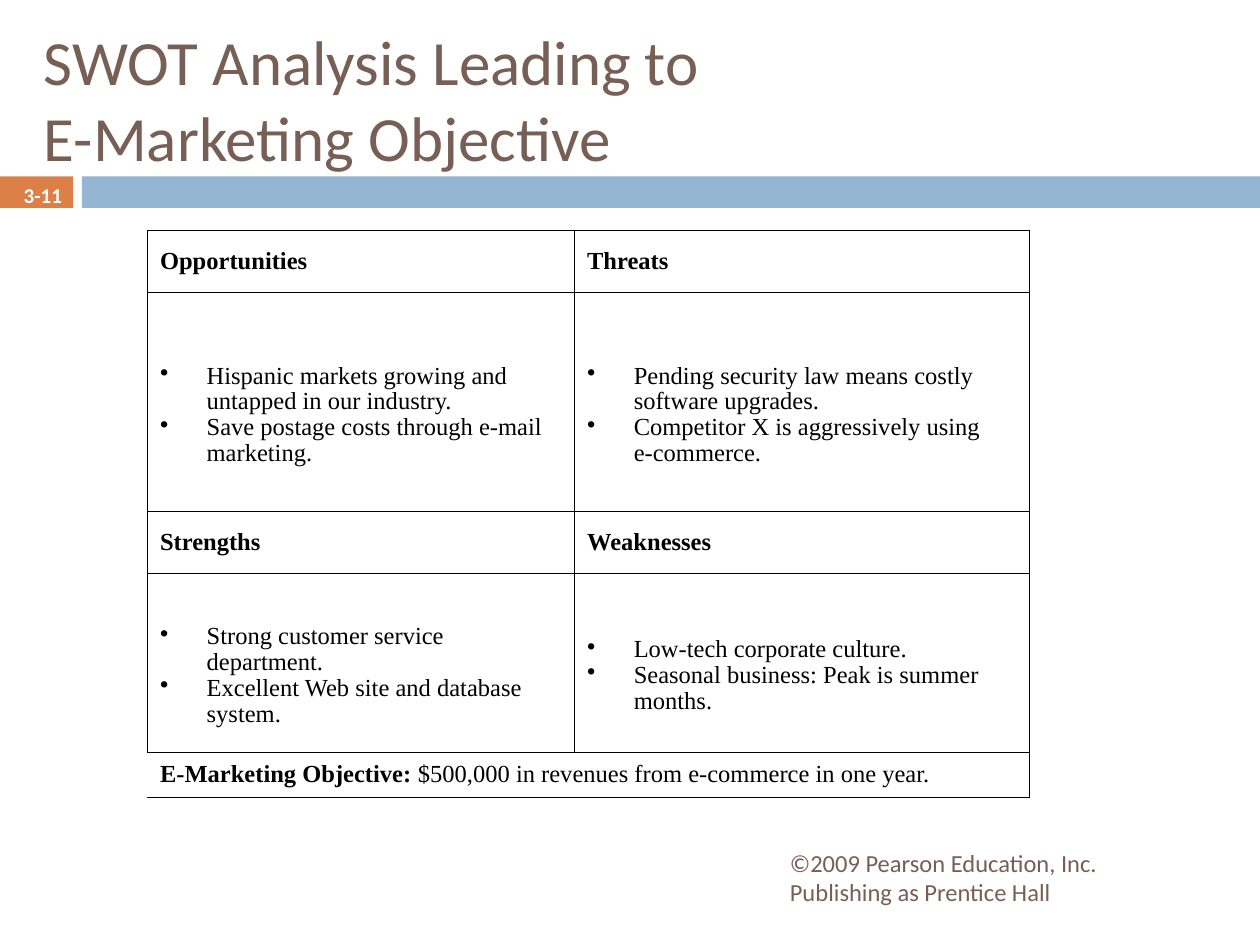
from dataclasses import dataclass

from lxml import etree
from pptx import Presentation
from pptx import util as u
from pptx.dml.color import RGBColor
from pptx.enum import shapes, text
from pptx.oxml import ns


@dataclass(frozen=True)
class Theme:
    sans: str = "Calibri"
    serif: str = "Times New Roman"
    brown: str = "775F55"
    orange: str = "DD8047"
    blue: str = "94B6D2"
    black: str = "000000"
    white: str = "FFFFFF"
    title: int = 36
    body: int = 14
    small: int = 12
    thin: float = 0.34
    rule: float = 0.45
    thick: float = 0.96


THEME = Theme()
COLS = [3.39, 3.61]
ROWS = [0.49, 1.74, 0.49, 1.42, 0.36]
SWOT = [
    [
        ("Opportunities", ["Hispanic markets growing and untapped in our industry.",
                           "Save postage costs through e-mail marketing."]),
        ("Threats", ["Pending security law means costly software upgrades.",
                     "Competitor X is aggressively using\ve-commerce."]),
    ],
    [
        ("Strengths", ["Strong customer service department.",
                       "Excellent Web site and database system."]),
        ("Weaknesses", ["Low-tech corporate culture.",
                        "Seasonal business: Peak is summer months."]),
    ],
]
GOAL = [("E-Marketing Objective:", True),
        (" $500,000 in revenues from e-commerce in one year.", False)]


def style(font, face, size, color, bold=False):
    font.name = face
    font.size = u.Pt(size)
    font.color.rgb = RGBColor.from_string(color)
    font.bold = bold


def add_bar(slide, left, width, color):
    bar = slide.shapes.add_shape(
        shapes.MSO_SHAPE.RECTANGLE, u.Inches(left), u.Inches(1.4),
        u.Inches(width), u.Inches(0.25))
    bar.shadow.inherit = False
    bar.fill.solid()
    bar.fill.fore_color.rgb = RGBColor.from_string(color)
    bar.line.fill.background()


def add_label(slide, words, area, size, color, bold=False,
              anchor=text.MSO_ANCHOR.MIDDLE, align=text.PP_ALIGN.LEFT):
    box = slide.shapes.add_textbox(*map(u.Inches, area))
    frame = box.text_frame
    frame.word_wrap = True
    frame.vertical_anchor = anchor
    para = frame.paragraphs[0]
    para.text = words
    para.alignment = align
    style(para.font, THEME.sans, size, color, bold)


def add_bullet(para):
    props = para._p.get_or_add_pPr()
    props.set("marL", str(u.Inches(0.37)))
    props.set("indent", str(u.Inches(-0.37)))
    etree.SubElement(props, ns.qn("a:buChar")).set("char", "•")


def set_edges(cell, left, top):
    props = cell._tc.get_or_add_tcPr()
    edges = {"L": left, "R": THEME.thin, "T": top, "B": THEME.rule}
    for spot, (side, width) in enumerate(edges.items()):
        line = etree.Element(ns.qn(f"a:ln{side}"))
        props.insert(spot, line)
        if width:
            line.set("w", str(u.Pt(width)))
            fill = etree.SubElement(line, ns.qn("a:solidFill"))
            etree.SubElement(fill, ns.qn("a:srgbClr")).set("val", THEME.black)
        else:
            etree.SubElement(line, ns.qn("a:noFill"))


def fill_cell(cell, lines, bold=False, bullet=False):
    cell.vertical_anchor = text.MSO_ANCHOR.MIDDLE
    cell.margin_top = u.Inches(0.26 if bullet else 0.05)
    frame = cell.text_frame
    for spot, words in enumerate(lines):
        para = frame.add_paragraph() if spot else frame.paragraphs[0]
        para.text = words
        para.line_spacing = 0.95
        if bullet:
            add_bullet(para)
        style(para.font, THEME.serif, THEME.body, THEME.black, bold)


def fill_goal(grid):
    cell = grid.cell(4, 0)
    cell.merge(grid.cell(4, 1))
    cell.vertical_anchor = text.MSO_ANCHOR.MIDDLE
    para = cell.text_frame.paragraphs[0]
    para.line_spacing = 0.95
    for words, bold in GOAL:
        run = para.add_run()
        run.text = words
        style(run.font, THEME.serif, THEME.body, THEME.black, bold)


def add_grid(slide):
    grid = slide.shapes.add_table(
        len(ROWS), len(COLS), u.Inches(1.17), u.Inches(1.83),
        u.Inches(sum(COLS)), u.Inches(sum(ROWS))).table
    grid.first_row = False
    grid.horz_banding = False
    for col, width in zip(grid.columns, COLS):
        col.width = u.Inches(width)
    for row, height in zip(grid.rows, ROWS):
        row.height = u.Inches(height)
    for band, pair in enumerate(SWOT):
        for col, (head, points) in enumerate(pair):
            fill_cell(grid.cell(2 * band, col), [head], bold=True)
            fill_cell(grid.cell(2 * band + 1, col), points, bullet=True)
    fill_goal(grid)
    for row in range(len(ROWS)):
        for col in range(len(COLS)):
            cell = grid.cell(row, col)
            cell.fill.background()
            set_edges(cell, None if row == 4 else THEME.thin,
                      THEME.rule if row else THEME.thick)


def main():
    deck = Presentation()
    deck.slide_width = u.Inches(10)
    deck.slide_height = u.Inches(7.5)
    slide = deck.slides.add_slide(deck.slide_layouts[6])
    add_bar(slide, 0, 0.58, THEME.orange)
    add_bar(slide, 0.65, 9.35, THEME.blue)
    add_label(slide, "SWOT Analysis Leading to\vE-Marketing Objective",
              (0.25, 0.13, 9.75, 1.9), THEME.title, THEME.brown,
              anchor=text.MSO_ANCHOR.TOP)
    add_grid(slide)
    add_label(slide, "©2009 Pearson Education, Inc. Publishing as Prentice Hall",
              (6.17, 6.67, 3.08, 0.58), THEME.body, THEME.brown)
    add_label(slide, "3-11", (0, 1.42, 0.59, 0.25), THEME.small, THEME.white,
              bold=True, align=text.PP_ALIGN.RIGHT)
    deck.save("out.pptx")


if __name__ == "__main__":
    main()
